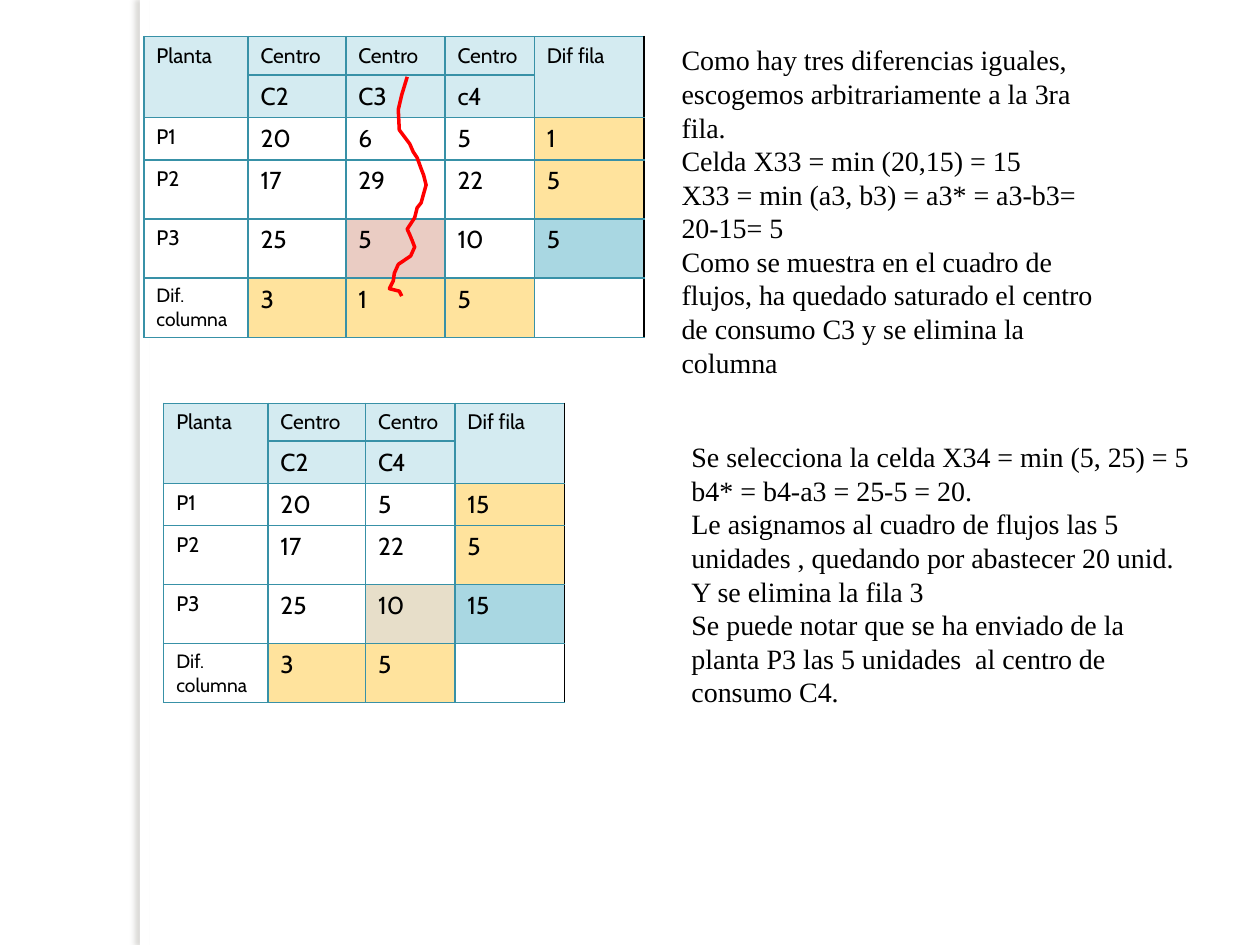
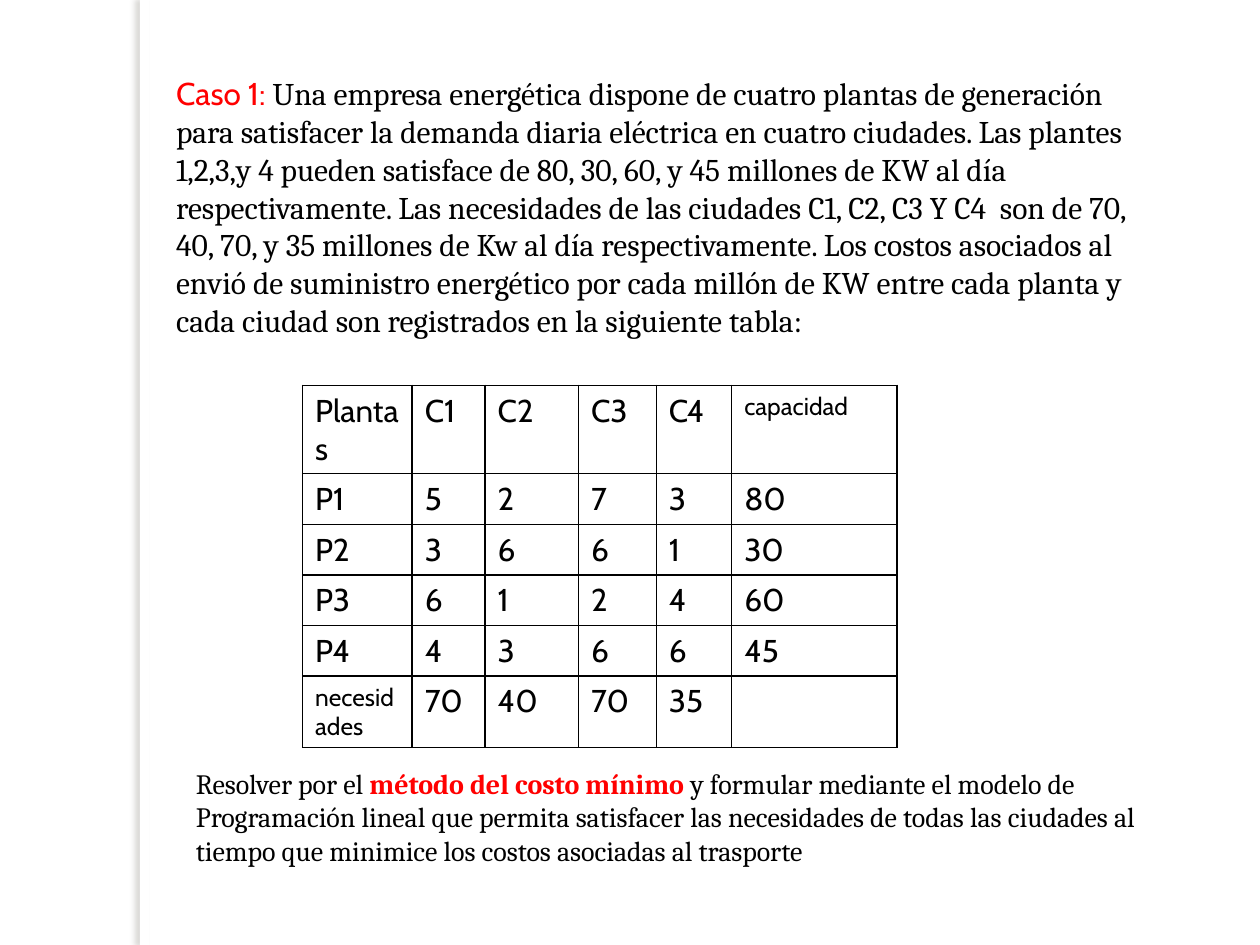
import lxml.etree
import pptx
import pptx.dml.color
import pptx.enum.shapes
import pptx.enum.text
import pptx.oxml
import pptx.oxml.ns
import pptx.util

Cm = pptx.util.Cm
Pt = pptx.util.Pt
RGB = pptx.dml.color.RGBColor

BLACK = RGB(0x00, 0x00, 0x00)
WHITE = RGB(0xFF, 0xFF, 0xFF)
RED = RGB(0xFF, 0x00, 0x00)
TEAL = RGB(0x38, 0x91, 0xA7)
HEADING = RGB(0xD4, 0xEB, 0xF1)
DIFFERENCE = RGB(0xFF, 0xE3, 0x9D)
LARGEST = RGB(0xA9, 0xD7, 0xE2)
ROSE = RGB(0xEA, 0xCC, 0xC3)
SAND = RGB(0xE7, 0xDE, 0xC9)
SHADOW = RGB(0x73, 0x6F, 0x63)

SANS, SERIF, TIMES = "Cabin", "Cambria", "Times New Roman"
DIFFERENCE_ROWS = (0.76, 0.85, 0.85, 1.19, 1.19, 1.19)
CASE_ROWS = (1.78, 1.02, 1.02, 1.02, 1.02, 1.43)
CASE_COLUMNS = (2.21, 1.47, 1.88, 1.57, 1.52, 3.33)

FIRST_COSTS = (
    ("Planta", "Centro", "Centro", "Centro", "Dif fila"),
    ("", "C2", "C3", "c4", ""),
    ("P1", "20", "6", "5", "1"),
    ("P2", "17", "29", "22", "5"),
    ("P3", "25", "5", "10", "5"),
    ("Dif. columna", "3", "1", "5", ""),
)
SECOND_COSTS = (
    ("Planta", "Centro", "Centro", "Dif fila"),
    ("", "C2", "C4", ""),
    ("P1", "20", "5", "15"),
    ("P2", "17", "22", "5"),
    ("P3", "25", "10", "15"),
    ("Dif. columna", "3", "5", ""),
)
CASE_COSTS = (
    ("Plantas", "C1", "C2", "C3", "C4", "capacidad"),
    ("P1", "5", "2", "7", "3", "80"),
    ("P2", "3", "6", "6", "1", "30"),
    ("P3", "6", "1", "2", "4", "60"),
    ("P4", "4", "3", "6", "6", "45"),
    ("necesidades", "70", "40", "70", "35", ""),
)
FIRST_STEPS = (
    "Como hay tres diferencias iguales, escogemos arbitrariamente a la 3ra fila.",
    "Celda X33 = min (20,15) = 15",
    "X33 = min (a3, b3) = a3* = a3-b3= 20-15= 5",
    "Como se muestra en el cuadro de flujos, ha quedado saturado el centro "
    "de consumo C3 y se elimina la columna",
)
SECOND_STEPS = (
    "Se selecciona la celda X34 = min (5, 25) = 5",
    "b4* = b4-a3 = 25-5 = 20.",
    "Le asignamos al cuadro de flujos las 5 unidades , quedando por abastecer 20 unid.",
    "Y se elimina la fila 3",
    "Se puede notar que se ha enviado de la planta P3 las 5 unidades  al centro de consumo C4.",
)
CASE_STATEMENT = (
    "Una empresa energética dispone de cuatro plantas de generación para satisfacer la "
    "demanda diaria eléctrica en cuatro ciudades. Las plantes 1,2,3,y 4 pueden satisface "
    "de 80, 30, 60, y 45 millones de KW al día respectivamente. Las necesidades de las "
    "ciudades C1, C2, C3 Y C4  son de 70, 40, 70, y 35 millones de Kw al día "
    "respectivamente. Los costos asociados al envió de suministro energético por cada "
    "millón de KW entre cada planta y cada ciudad son registrados en la siguiente tabla:"
)
CASE_TASK = (
    "y formular mediante el modelo de Programación lineal que permita satisfacer las "
    "necesidades de todas las ciudades al tiempo que minimice los costos asociadas al trasporte"
)
STRIKE_POINTS = (
    (36, 0), (25, 36), (18, 66), (20, 107), (41, 135), (48, 151), (56, 163), (64, 185),
    (69, 198), (74, 218), (64, 254), (56, 264), (51, 284), (36, 307), (41, 318), (46, 330),
    (51, 343), (43, 361), (18, 378), (10, 396), (8, 411), (0, 427), (20, 432), (25, 442),
)


def format_run(run, size, font, color=BLACK, bold=False):
    """Set the typeface, size, colour and weight of a run."""
    run.font.size = Pt(size)
    run.font.name = font
    run.font.color.rgb = color
    run.font.bold = bold


def add_text(slide, box, paragraphs):
    """Write paragraphs of (text, size, font, colour, bold) runs in a box."""
    prose = slide.shapes.add_textbox(*map(Cm, box)).text_frame
    prose.word_wrap = True
    prose.auto_size = pptx.enum.text.MSO_AUTO_SIZE.SHAPE_TO_FIT_TEXT
    for index, runs in enumerate(paragraphs):
        paragraph = prose.paragraphs[0] if index == 0 else prose.add_paragraph()
        for text, *style in runs:
            run = paragraph.add_run()
            run.text = text
            format_run(run, *style)


def add_steps(slide, box, steps):
    """Write the reasoning beside a cost table."""
    add_text(slide, box, [[(step, 16, TIMES)] for step in steps])


def border_cell(cell, color, right):
    """Draw the four one-point borders of a cell."""
    properties = cell._tc.get_or_add_tcPr()
    for side, side_color in (("L", color), ("R", right), ("T", color), ("B", color)):
        line = lxml.etree.SubElement(
            properties, pptx.oxml.ns.qn(f"a:ln{side}"), w=str(Pt(1)))
        fill = lxml.etree.SubElement(line, pptx.oxml.ns.qn("a:solidFill"))
        lxml.etree.SubElement(fill, pptx.oxml.ns.qn("a:srgbClr"), val=str(side_color))


def add_cost_table(slide, corner, columns, rows, costs, border, size_of, fill_of):
    """Build a cost table whose sizes and fills follow the given rules."""
    frame = slide.shapes.add_table(
        len(rows), len(columns), *map(Cm, (*corner, sum(columns), sum(rows))))
    table = frame.table
    table.first_row = table.horz_banding = False
    for column, width in zip(table.columns, columns):
        column.width = Cm(width)
    for row, height in zip(table.rows, rows):
        row.height = Cm(height)
    for r, values in enumerate(costs):
        for c, value in enumerate(values):
            cell = table.cell(r, c)
            border_cell(cell, border, BLACK if c == len(columns) - 1 else border)
            color = fill_of(r, c)
            if color is None:
                cell.fill.background()
            else:
                cell.fill.solid()
                cell.fill.fore_color.rgb = color
            cell.text_frame.text = value
            for run in cell.text_frame.paragraphs[0].runs:
                format_run(run, size_of(r, c), SANS)
    return table


def add_difference_table(slide, corner, columns, costs, chosen, chosen_color):
    """Build a cost table with row and column differences and a chosen cell."""
    last_row, last_column = len(costs) - 1, len(columns) - 1
    special = {chosen: chosen_color, (4, last_column): LARGEST,
               (last_row, 0): None, (last_row, last_column): None}

    def size_of(r, c):
        """Give the text size of a cell."""
        if (r, c) == (last_row, 0):
            return 11
        return 12 if r == 0 or c == 0 else 14

    def fill_of(r, c):
        """Give the fill of a cell."""
        if (r, c) in special:
            return special[r, c]
        if r < 2:
            return HEADING
        return DIFFERENCE if r == last_row or c == last_column else None

    table = add_cost_table(
        slide, corner, columns, DIFFERENCE_ROWS, costs, TEAL, size_of, fill_of)
    for c in (0, last_column):
        table.cell(0, c).merge(table.cell(1, c))


def add_strike(slide, corner):
    """Strike out the eliminated column with a wavy line."""
    builder = slide.shapes.build_freeform(*STRIKE_POINTS[0], scale=Cm(0.01))
    builder.add_line_segments(STRIKE_POINTS[1:], close=False)
    strike = builder.convert_to_shape(*map(Cm, corner))
    strike.shadow.inherit = False
    strike.fill.background()
    strike.line.color.rgb = RED
    strike.line.width = Pt(2)


def add_band(layout, slide, box):
    """Put the shadowed vertical band on the layout the slides share."""
    band = slide.shapes.add_shape(
        pptx.enum.shapes.MSO_SHAPE.RECTANGLE, *map(Cm, box))
    band.shadow.inherit = False
    band.fill.solid()
    band.fill.fore_color.rgb = WHITE
    band.line.fill.background()
    effects = band.element.spPr.find(pptx.oxml.ns.qn("a:effectLst"))
    effects.append(pptx.oxml.parse_xml(
        f'<a:outerShdw {pptx.oxml.ns.nsdecls("a")} blurRad="{Pt(3)}" dist="{Pt(3)}" '
        f'dir="10800000" algn="tl" rotWithShape="0"><a:srgbClr val="{SHADOW}">'
        '<a:alpha val="25000"/></a:srgbClr></a:outerShdw>'))
    layout.shapes.element.append(band.element)


def build_iterations(slide):
    """Show the two iterations with their tables and reasoning."""
    add_difference_table(slide, (2.9, 0.74), (2.1, 1.97, 2, 1.8, 2.21),
                         FIRST_COSTS, (4, 2), ROSE)
    add_steps(slide, (13.49, 0.74, 8.79, 7.09), FIRST_STEPS)
    add_difference_table(slide, (3.3, 8.13), (2.1, 1.97, 1.8, 2.21),
                         SECOND_COSTS, (4, 2), SAND)
    add_steps(slide, (13.69, 8.74, 10.59, 5.74), SECOND_STEPS)
    add_strike(slide, (7.85, 1.55))


def build_case(slide):
    """Show the statement, costs and task of the case."""
    add_text(slide, (3.3, 1.37, 20.4, 6.4),
             [[("Caso 1: ", 18, SANS, RED), (CASE_STATEMENT, 18, SERIF)]])
    small = {(0, 5), (5, 0)}
    add_cost_table(slide, (6.1, 7.77), CASE_COLUMNS, CASE_ROWS, CASE_COSTS, BLACK,
                   lambda r, c: 14 if (r, c) in small else 18, lambda r, c: None)
    add_text(slide, (3.7, 15.32, 20.4, 2.31),
             [[("Resolver por el ", 16, SERIF),
               ("método del costo mínimo ", 16, SERIF, RED, True),
               (CASE_TASK, 16, SERIF)]])


def main():
    """Build and save the presentation."""
    deck = pptx.Presentation()
    deck.slide_width, deck.slide_height = Cm(25.4), Cm(19.05)
    layout = deck.slide_layouts[6]
    iterations, case = (deck.slides.add_slide(layout) for _ in range(2))
    add_band(layout, iterations, (2.82, 0, 0.2, 19.05))
    build_iterations(iterations)
    build_case(case)
    deck.save("out.pptx")


if __name__ == "__main__":
    main()
